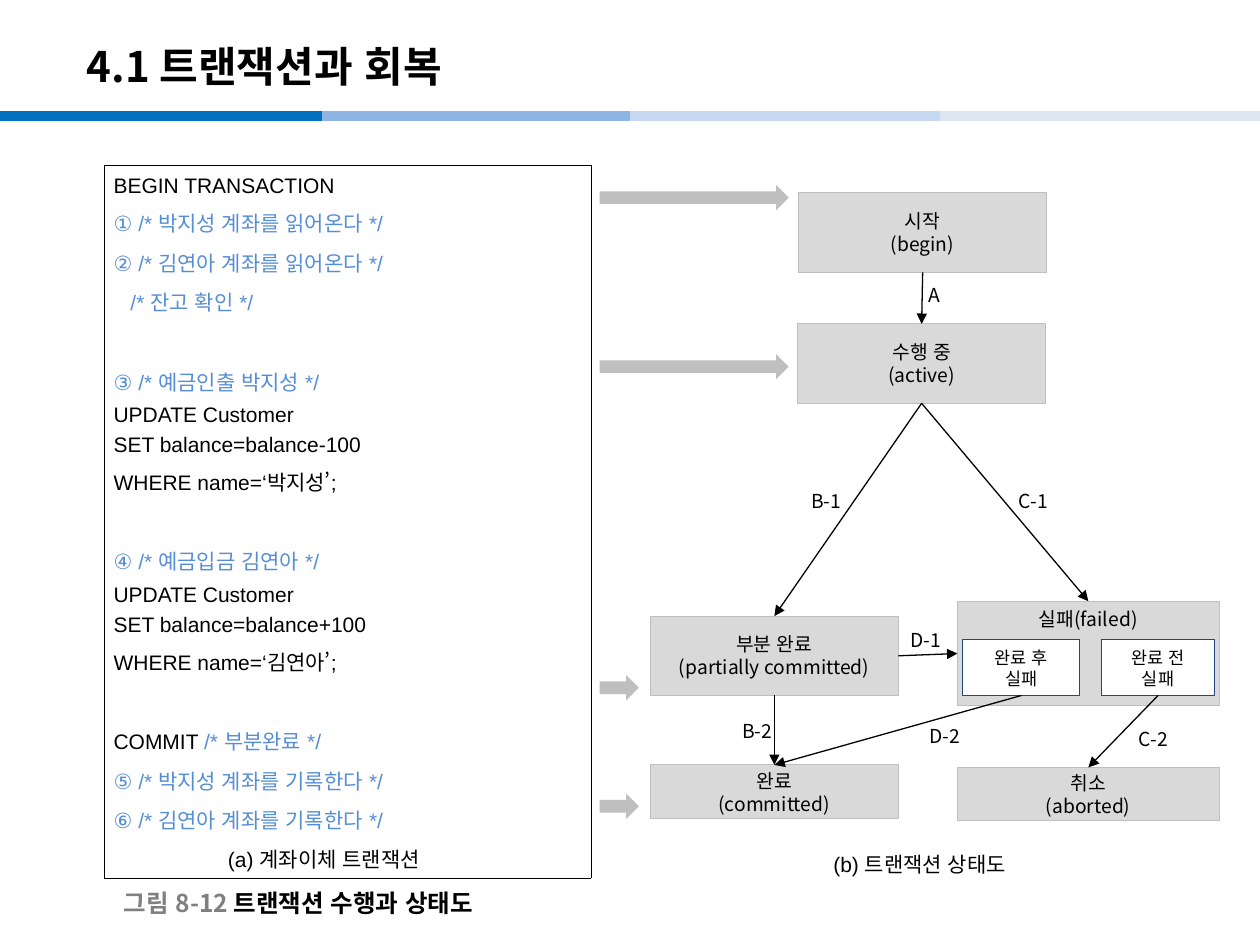
from lxml import etree
from pptx import Presentation
from pptx import util as u
from pptx.dml.color import RGBColor
from pptx.enum import lang, shapes, text
from pptx.oxml import ns

KOREAN = "Noto Sans CJK KR"
COLORS = {
    "black": "000000", "white": "FFFFFF", "gray": "808080",
    "box": "D9D9D9", "edge": "BFBFBF", "navy": "1F497D", "comment": "558ED5",
}
BANDS = [(0, 6.5, "0070C0"), (6.5, 13, "8EB4E3"),
         (12.7, 19.2, "C6D9F1"), (18.95, 25.4, "DCE6F2")]
BLANK_LINE = 22.6
CODE = [
    [[("BEGIN TRANSACTION", "black")],
     [("① /* 박지성 계좌를 읽어온다 */", "comment")],
     [("② /* 김연아 계좌를 읽어온다 */", "comment")],
     [("/* 잔고 확인 */", "comment")]],
    [[("③ /* 예금인출 박지성 */", "comment")],
     [("UPDATE Customer", "black")],
     [("SET balance=balance-100", "black")],
     [("WHERE name=‘박지성’;", "black")]],
    [[("④ /* 예금입금 김연아 */", "comment")],
     [("UPDATE Customer", "black")],
     [("SET balance=balance+100", "black")],
     [("WHERE name=‘김연아’;", "black")]],
    [[("COMMIT ", "black"), ("/* 부분완료 */", "comment")],
     [("⑤ /* 박지성 계좌를 기록한다 */", "comment")],
     [("⑥ /* 김연아 계좌를 기록한다 */", "comment")]],
]
STATES = {
    "active": (16.08, 6.53, 5, 1.6, ["수행 중", "(active)"]),
    "begin": (16.1, 3.89, 5, 1.6, ["시작", "(begin)"]),
    "partial": (13.11, 12.42, 5, 1.6, ["부분 완료", "(partially committed)"]),
    "committed": (13.11, 15.42, 5, 1.09, ["완료", "(committed)"]),
    "aborted": (19.3, 15.47, 5.28, 1.07, ["취소", "(aborted)"]),
    "failed": (19.3, 12.12, 5.28, 2.11, ["실패(failed)"]),
}
FAILURES = {
    "after": (19.41, 12.9, 2.36, 1.12, ["완료 후", "실패"]),
    "before": (22.2, 12.9, 2.29, 1.12, ["완료 전", "실패"]),
}
TOP, LEFT, BOTTOM, RIGHT = range(4)
TRANSITIONS = [
    ("begin", BOTTOM, "active", TOP),
    ("active", BOTTOM, "partial", TOP),
    ("active", BOTTOM, "failed", TOP),
    ("after", BOTTOM, "committed", TOP),
    ("partial", BOTTOM, "committed", TOP),
    ("before", BOTTOM, "aborted", TOP),
    ("partial", RIGHT, "failed", LEFT),
]
LABELS = [
    ("B-1", 16.1, 9.73), ("C-1", 20.29, 9.73), ("A", 18.47, 5.59),
    ("D-1", 18.11, 12.55), ("B-2", 14.71, 14.38), ("C-2", 22.71, 14.53),
    ("D-2", 18.49, 14.48),
]
STEP_ARROWS = [(3.73, 3.81), (7.14, 3.81), (13.61, 0.79), (16, 0.79)]


def rgb(name):
    return RGBColor.from_string(COLORS.get(name, name))


def place(*lengths):
    return [u.Cm(length) for length in lengths]


def add_run(para, words, size, color="black", font=KOREAN, bold=False):
    span = para.add_run()
    span.text = words
    span.font.size = u.Pt(size)
    span.font.name = font
    span.font.bold = bold
    span.font.language_id = lang.MSO_LANGUAGE_ID.KOREAN
    span.font.color.rgb = rgb(color)
    east = etree.SubElement(span.font._element, ns.qn("a:ea"))
    east.set("typeface", KOREAN)


def next_para(frame, index):
    return frame.add_paragraph() if index else frame.paragraphs[0]


def add_text(page, area, runs, size, font=KOREAN, bold=False, middle=False):
    box = page.shapes.add_textbox(*place(*area))
    frame = box.text_frame
    frame.word_wrap = True
    if middle:
        frame.vertical_anchor = text.MSO_ANCHOR.MIDDLE
    for words, color in runs:
        add_run(frame.paragraphs[0], words, size, color, font, bold)
    return frame


def add_caption(page, left, top, words):
    frame = add_text(page, (left, top, 6.81, 0.76), [(words, "black")], 12, "Arial")
    frame.margin_left = u.Cm(1.52)
    frame.paragraphs[0].alignment = text.PP_ALIGN.CENTER


def add_shape(page, kind, area, fill, edge=None):
    shape = page.shapes.add_shape(kind, *place(*area))
    shape.shadow.inherit = False
    shape.fill.solid()
    shape.fill.fore_color.rgb = rgb(fill)
    if edge:
        shape.line.color.rgb = rgb(edge)
        shape.line.width = u.Pt(0.5)
    else:
        shape.line.fill.background()
    return shape


def add_state(page, state, fill, edge, size, anchor=text.MSO_ANCHOR.MIDDLE):
    *area, lines = state
    box = add_shape(page, shapes.MSO_SHAPE.RECTANGLE, area, fill, edge)
    frame = box.text_frame
    frame.word_wrap = True
    frame.vertical_anchor = anchor
    for index, words in enumerate(lines):
        para = next_para(frame, index)
        para.alignment = text.PP_ALIGN.CENTER
        add_run(para, words, size)
    return box


def add_line(page, ends, color, width):
    line = page.shapes.add_connector(shapes.MSO_CONNECTOR.STRAIGHT, *place(*ends))
    line.line.color.rgb = rgb(color)
    line.line.width = u.Pt(width)
    etree.SubElement(line._element.spPr, ns.qn("a:effectLst"))
    return line


def add_transition(page, source, source_side, target, target_side):
    line = add_line(page, (0, 0, 0, 0), "black", 0.75)
    line.begin_connect(source, source_side)
    line.end_connect(target, target_side)
    tail = etree.SubElement(line.line._get_or_add_ln(), ns.qn("a:tailEnd"))
    tail.set("type", "triangle")


def add_borders(cell):
    props = cell._tc.get_or_add_tcPr()
    for index, side in enumerate(("lnL", "lnR", "lnT", "lnB")):
        border = etree.Element(ns.qn(f"a:{side}"), w=str(u.Pt(0.28)))
        fill = etree.SubElement(border, ns.qn("a:solidFill"))
        etree.SubElement(fill, ns.qn("a:srgbClr"), val=COLORS["black"])
        props.insert(index, border)


def add_code(page):
    table = page.shapes.add_table(1, 1, *place(2.11, 3.33, 9.8, 14.37)).table
    table.first_row = table.horz_banding = False
    cell = table.cell(0, 0)
    cell.fill.background()
    cell.vertical_anchor = text.MSO_ANCHOR.TOP
    cell.margin_left = cell.margin_right = u.Cm(0.18)
    cell.margin_top = cell.margin_bottom = u.Cm(0.05)
    add_borders(cell)
    for block_index, block in enumerate(CODE):
        for index, runs in enumerate(block):
            para = next_para(cell.text_frame, block_index + index)
            para.line_spacing = 1.3
            if block_index and not index:
                para.space_before = u.Pt(BLANK_LINE)
            if runs[0][0].startswith("/*"):
                para._p.get_or_add_pPr().set("marL", str(u.Cm(0.34)))
            for words, color in runs:
                add_run(para, words, 12, color, "Arial")


def add_diagram(page):
    boxes = {}
    for name, state in STATES.items():
        anchor = text.MSO_ANCHOR.TOP if name == "failed" else text.MSO_ANCHOR.MIDDLE
        boxes[name] = add_state(page, state, "box", "edge", 11, anchor)
    for name, state in FAILURES.items():
        boxes[name] = add_state(page, state, "white", "navy", 10)
    for source, source_side, target, target_side in TRANSITIONS:
        add_transition(page, boxes[source], source_side, boxes[target], target_side)
    for words, left, top in LABELS:
        add_text(page, (left, top, 1.8, 0.74), [(words, "black")], 11)
    for top, width in STEP_ARROWS:
        add_shape(page, shapes.MSO_SHAPE.RIGHT_ARROW, (12.09, top, width, 0.51), "edge")


def main():
    deck = Presentation()
    deck.slide_width, deck.slide_height = place(25.4, 19.05)
    page = deck.slides.add_slide(deck.slide_layouts[6])
    for start, end, color in BANDS:
        add_line(page, (start, 2.34, end, 2.34), color, 6)
    add_text(page, (1.5, 0.56, 21.01, 1.52), [("4.1 트랜잭션과 회복", "black")], 24,
             bold=True, middle=True)
    add_text(page, (2.24, 17.81, 8, 0.79),
             [("그림 8-12 ", "gray"), ("트랜잭션 수행과 상태도", "black")], 14,
             bold=True, middle=True)
    add_code(page)
    add_caption(page, 2.49, 16.94, "(a) 계좌이체 트랜잭션")
    add_caption(page, 14.5, 17.04, "(b) 트랜잭션 상태도")
    add_diagram(page)
    deck.save("out.pptx")


if __name__ == "__main__":
    main()
